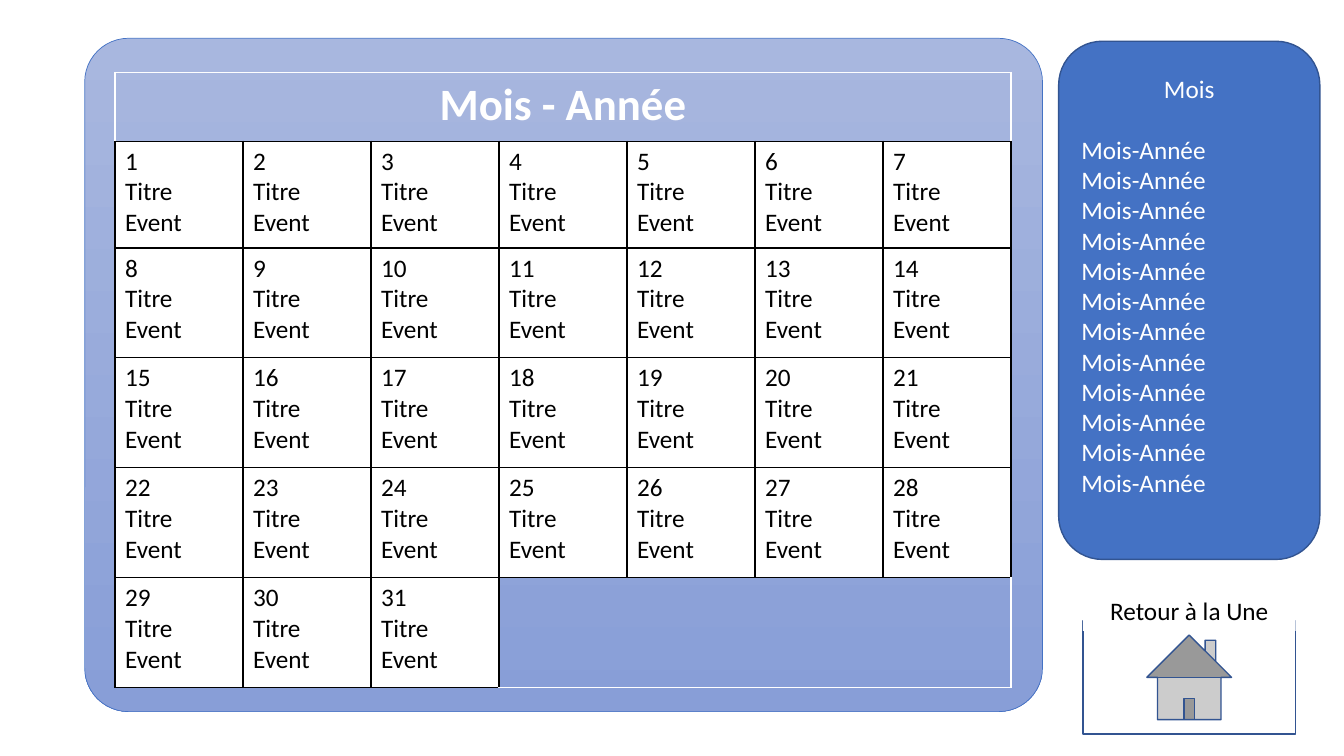
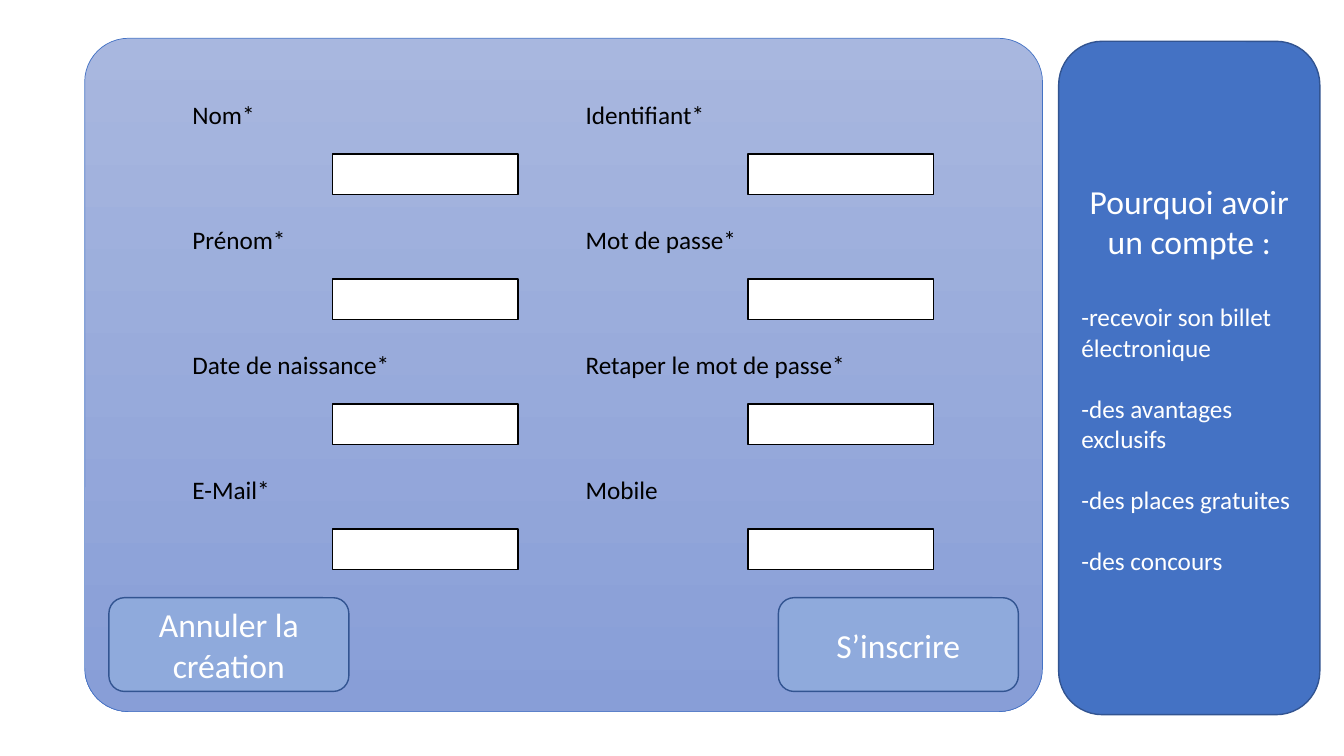
from dataclasses import dataclass

from lxml import etree
from pptx import Presentation
from pptx.dml.color import RGBColor
from pptx.enum.shapes import MSO_SHAPE as Preset
from pptx.enum.text import MSO_ANCHOR as Anchor, PP_ALIGN as Align
from pptx.oxml.ns import qn
from pptx.util import Inches, Pt


@dataclass(frozen=True)
class Theme:
    font: str = "Calibri"
    white: str = "FFFFFF"
    black: str = "000000"
    accent: str = "4472C4"
    outline: str = "325491"
    button: str = "8FAADC"
    panel_top: str = "A8B7DF"
    panel_bottom: str = "889ED7"
    body: int = 18
    large: int = 24
    heading: int = 32
    body_line: int = 22
    large_line: int = 29


THEME = Theme()


def assign(target, values):
    for name, value in values.items():
        setattr(target, name, value)


class Page:
    """Holds the theme and the slide that is being filled."""

    def __init__(self, deck, theme):
        self.theme = theme
        self.slide = deck.slides.add_slide(deck.slide_layouts[6])

    def set_text(self, paragraph, text, size, color, align=Align.LEFT, bold=False, gap=0):
        """Fill one paragraph; gap is the space before it in points."""
        assign(paragraph, {"text": text, "alignment": align, "space_before": Pt(gap)})
        assign(paragraph.font, {"name": self.theme.font, "size": Pt(size), "bold": bold})
        paragraph.font.color.rgb = RGBColor.from_string(color)

    def shape(self, preset, box, fill, line=None, weight=1):
        item = self.slide.shapes.add_shape(preset, *map(Inches, box))
        item.shadow.inherit = False
        item.fill.solid()
        item.fill.fore_color.rgb = RGBColor.from_string(fill)
        if line:
            item.line.color.rgb = RGBColor.from_string(line)
            item.line.width = Pt(weight)
        else:
            item.line.fill.background()
        return item

    def main_panel(self):
        theme = self.theme
        panel = self.shape(Preset.ROUNDED_RECTANGLE, (0.84, 0.38, 9.5, 6.68),
                           theme.panel_top, theme.accent, 0.5)
        panel.adjustments[0] = 0.065
        panel.fill.gradient()
        panel.fill.gradient_angle = 270
        for stop, color in zip(panel.fill.gradient_stops,
                               (theme.panel_top, theme.panel_bottom)):
            stop.color.rgb = RGBColor.from_string(color)

    def side_panel(self, height, heading, size, entries, bottom=0.05):
        """Add the blue column; entries are (text, space before) pairs."""
        theme = self.theme
        panel = self.shape(Preset.ROUNDED_RECTANGLE, (10.5, 0.41, 2.59, height),
                           theme.accent, theme.outline)
        frame = panel.text_frame
        assign(frame, {"word_wrap": True, "vertical_anchor": Anchor.MIDDLE,
                       "margin_bottom": Inches(bottom)})
        self.set_text(frame.paragraphs[0], heading, size, theme.white, Align.CENTER)
        for text, gap in entries:
            self.set_text(frame.add_paragraph(), text, theme.body, theme.white, gap=gap)

    def captioned(self, preset, box, fill, line, text, size, color):
        frame = self.shape(preset, box, fill, line).text_frame
        assign(frame, {"word_wrap": True, "vertical_anchor": Anchor.MIDDLE})
        self.set_text(frame.paragraphs[0], text, size, color, Align.CENTER)

    def button(self, left, text):
        theme = self.theme
        self.captioned(Preset.ROUNDED_RECTANGLE, (left, 5.93, 2.38, 0.93), theme.button,
                       theme.outline, text, theme.large, theme.white)

    def home_link(self, text):
        theme = self.theme
        self.shape(Preset.ACTION_BUTTON_HOME, (10.74, 6.16, 2.11, 1.12),
                   theme.white, theme.outline)
        self.captioned(Preset.RECTANGLE, (10.74, 5.86, 2.11, 0.4), theme.white,
                       None, text, theme.body, theme.black)

    def field(self, label, label_left, entry_left, top):
        theme = self.theme
        caption = self.slide.shapes.add_textbox(
            *map(Inches, (label_left, top, 2.9, 0.4)))
        caption.text_frame.word_wrap = True
        self.set_text(caption.text_frame.paragraphs[0], label, theme.body, theme.black)
        self.shape(Preset.RECTANGLE, (entry_left, top + 0.59, 1.84, 0.4),
                   theme.white, theme.black)

    def cell_style(self, cell, fill=None, **edges):
        """Draw the four borders (black unless given by L, R, T, B) and the fill."""
        properties = cell._tc.get_or_add_tcPr()
        for side in "LRTB":
            border = etree.SubElement(properties, qn(f"a:ln{side}"), w=str(Pt(1)))
            solid = etree.SubElement(border, qn("a:solidFill"))
            etree.SubElement(solid, qn("a:srgbClr"),
                             val=edges.get(side, self.theme.black))
        if fill:
            cell.fill.solid()
            cell.fill.fore_color.rgb = RGBColor.from_string(fill)
        else:
            cell.fill.background()

    def calendar(self, heading, days, event):
        theme = self.theme
        heights = (0.68, 1.06, 1.09, 1.09, 1.09, 1.09)
        week = 7
        table = self.slide.shapes.add_table(
            len(heights), week, *map(Inches, (1.14, 0.72, 8.9, sum(heights)))).table
        assign(table, {"first_row": False, "horz_banding": False})
        for row, height in zip(table.rows, heights):
            row.height = Inches(height)
        for column in table.columns:
            column.width = Inches(1.27)

        title = table.cell(0, 0)
        title.merge(table.cell(0, week - 1))
        self.cell_style(title, L=theme.white, R=theme.white, T=theme.white)
        self.set_text(title.text_frame.paragraphs[0], heading, theme.heading,
                      theme.white, Align.CENTER, bold=True)

        for day in range(days):
            cell = table.cell(1 + day // week, day % week)
            self.cell_style(cell, theme.white)
            frame = cell.text_frame
            self.set_text(frame.paragraphs[0], str(day + 1), theme.body, theme.black)
            self.set_text(frame.add_paragraph(), event, theme.body, theme.black)

        last_row = len(heights) - 1
        unused = table.cell(last_row, days % week)
        unused.merge(table.cell(last_row, week - 1))
        self.cell_style(unused, R=theme.white, B=theme.white)


def calendar_page(deck):
    page = Page(deck, THEME)
    page.main_panel()
    page.calendar("Mois - Année", 31, "Titre Event")
    months = [("Mois-Année", 0 if month else THEME.body_line) for month in range(12)]
    page.side_panel(5.14, "Mois", THEME.body, months, bottom=0.35)
    page.home_link("Retour à la Une")


def registration_page(deck):
    page = Page(deck, THEME)
    page.main_panel()
    benefits = ("-recevoir son billet électronique", "-des avantages exclusifs",
                "-des places gratuites", "-des concours")
    gaps = [THEME.large_line] + [THEME.body_line] * (len(benefits) - 1)
    page.side_panel(6.68, "Pourquoi avoir un compte :", THEME.large,
                    zip(benefits, gaps))
    columns = (
        (1.81, 3.3, ("Nom*", "Prénom*", "Date de naissance*", "E-Mail*")),
        (5.71, 7.42, ("Identifiant*", "Mot de passe*", "Retaper le mot de passe*",
                      "Mobile")),
    )
    for label_left, entry_left, labels in columns:
        for row, label in enumerate(labels):
            page.field(label, label_left, entry_left, 0.94 + 1.24 * row)
    page.button(1.08, "Annuler la création")
    page.button(7.72, "S’inscrire")


def main():
    deck = Presentation()
    assign(deck, {"slide_width": Inches(13.33), "slide_height": Inches(7.5)})
    calendar_page(deck)
    registration_page(deck)
    deck.save("out.pptx")


if __name__ == "__main__":
    main()
